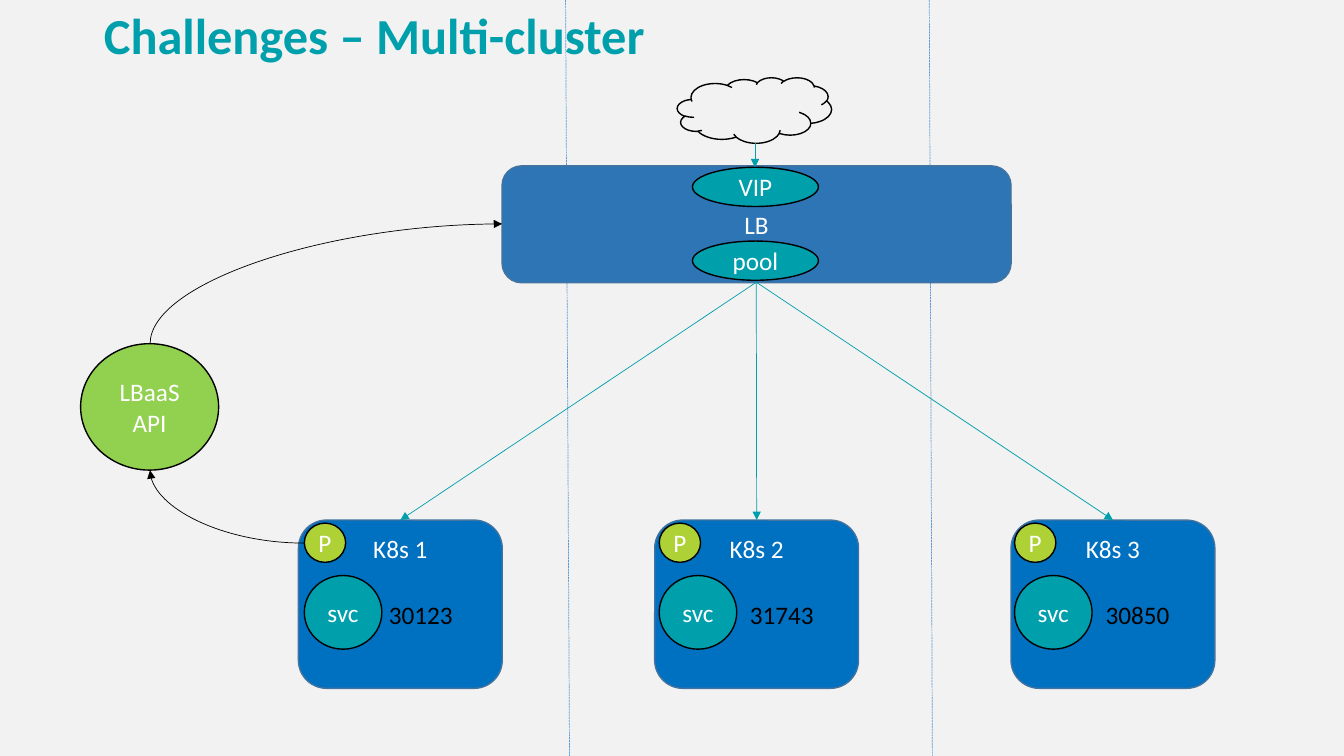
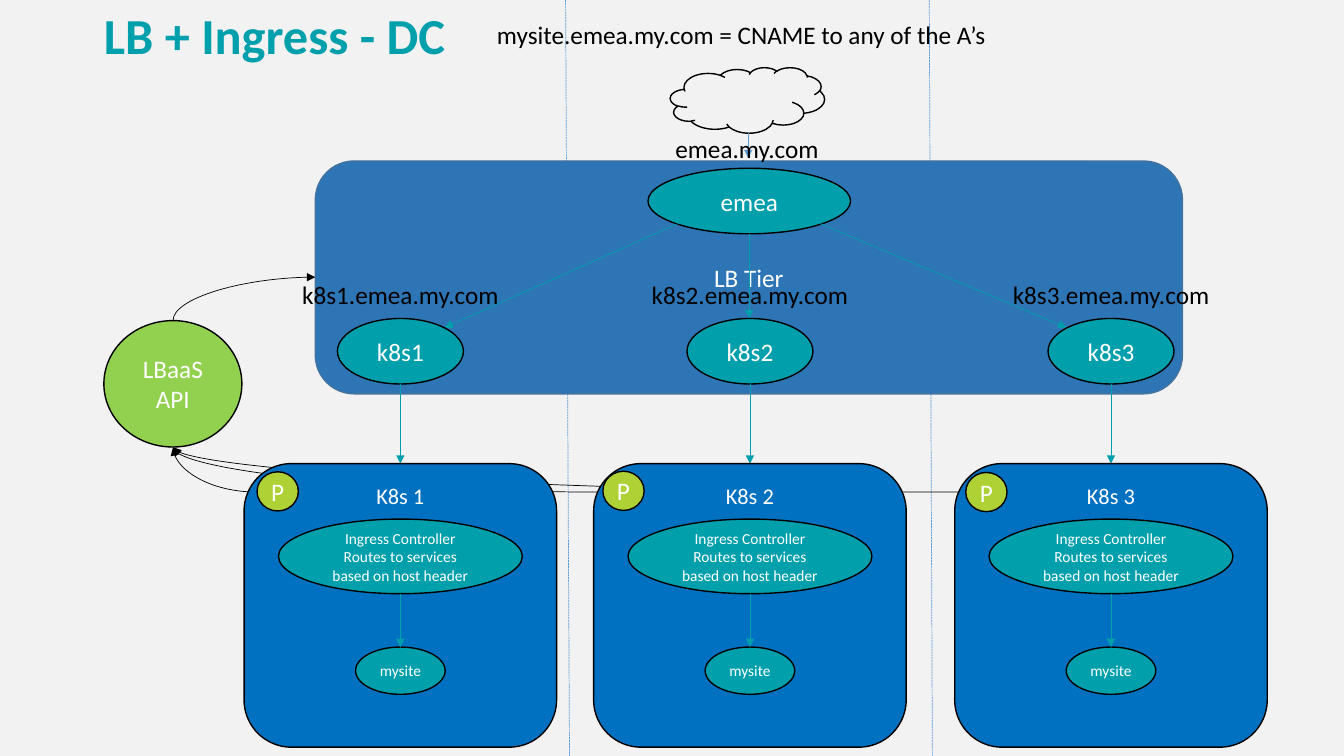
from dataclasses import dataclass
from typing import NamedTuple, Optional

from lxml.etree import SubElement
from pptx import Presentation
from pptx.dml.color import RGBColor
from pptx.enum.dml import MSO_LINE
from pptx.enum.shapes import MSO_CONNECTOR as Link, MSO_SHAPE as Shape
from pptx.enum.text import MSO_ANCHOR as Anchor, PP_ALIGN as Align
from pptx.oxml.ns import qn
from pptx.util import Pt

# Shared look
FONT = "Calibri"
BACKGROUND = RGBColor(0xF2, 0xF2, 0xF2)
TEAL = RGBColor(0x00, 0x9F, 0xAC)
CLUSTER_BLUE = RGBColor(0x00, 0x70, 0xC0)
BALANCER_BLUE = RGBColor(0x2E, 0x75, 0xB6)
BORDER_BLUE = RGBColor(0x43, 0x73, 0x9E)
LIGHT_BLUE = RGBColor(0x5B, 0x9B, 0xD5)
LIME = RGBColor(0xAE, 0xD1, 0x36)
GREEN = RGBColor(0x92, 0xD0, 0x50)
BLACK = RGBColor(0x00, 0x00, 0x00)
WHITE = RGBColor(0xFF, 0xFF, 0xFF)


class Point(NamedTuple):
    x: float
    y: float


@dataclass(frozen=True)
class Node:
    """A filled, outlined shape with a centred label."""
    kind: Shape
    x: float
    y: float
    width: float
    height: float
    label: str = ""
    fill: Optional[RGBColor] = TEAL
    border: RGBColor = BLACK
    size: float = 18
    anchor: Anchor = Anchor.MIDDLE
    wrap: bool = False


class PortCluster(NamedTuple):
    name: str
    badge_x: float
    port: str
    port_x: float


class IngressCluster(NamedTuple):
    number: int
    center: float
    badge: Point


PORT_CLUSTERS = (
    PortCluster("K8s 1", 217.4, "30123", 270.7),
    PortCluster("K8s 2", 470.9, "31743", 528.5),
    PortCluster("K8s 3", 724.7, "30850", 782.6),
)
INGRESS_CLUSTERS = (
    IngressCluster(1, 286, Point(183.6, 337)),
    IngressCluster(2, 535.7, Point(430.6, 336.6)),
    IngressCluster(3, 793.6, Point(689.8, 337.5)),
)


def style_text(frame, size: float, color: RGBColor, align: Align, bold: bool = False) -> None:
    for paragraph in frame.paragraphs:
        paragraph.alignment = align
        for run in paragraph.runs:
            run.font.name = FONT
            run.font.size = Pt(size)
            run.font.bold = bold
            run.font.color.rgb = color


def draw_node(slide, node: Node) -> None:
    shape = slide.shapes.add_shape(
        node.kind, Pt(node.x), Pt(node.y), Pt(node.width), Pt(node.height))
    shape.shadow.inherit = False
    if node.fill is None:
        shape.fill.background()
    else:
        shape.fill.solid()
        shape.fill.fore_color.rgb = node.fill
    shape.line.color.rgb = node.border
    shape.line.width = Pt(1)
    if node.label:
        frame = shape.text_frame
        frame.text = node.label
        frame.word_wrap = node.wrap
        frame.vertical_anchor = node.anchor
        style_text(frame, node.size, WHITE, Align.CENTER)


def draw_oval(slide, center: float, y: float, width: float, height: float,
              label: str, size: float = 18, wrap: bool = False) -> None:
    draw_node(slide, Node(Shape.OVAL, center - width / 2, y, width, height, label,
                          size=size, wrap=wrap))


def draw_text(slide, text: str, x: float, y: float, width: float,
              align: Align = Align.CENTER) -> None:
    box = slide.shapes.add_textbox(Pt(x), Pt(y), Pt(width), Pt(29))
    frame = box.text_frame
    frame.text = text
    frame.word_wrap = True
    style_text(frame, 18, BLACK, align)


def draw_link(slide, start: Point, end: Point, color: RGBColor = TEAL,
              kind: Link = Link.STRAIGHT, arrow: bool = True):
    link = slide.shapes.add_connector(
        kind, Pt(start.x), Pt(start.y), Pt(end.x), Pt(end.y))
    link.line.color.rgb = color
    link.line.width = Pt(0.5)
    properties = link._element.spPr
    if arrow:
        SubElement(properties.find(qn("a:ln")), qn("a:tailEnd"), type="triangle")
    SubElement(properties, qn("a:effectLst"))
    return link


def draw_curve(slide, start: Point, end: Point, leaves_upward: bool = False) -> None:
    """Quarter curve; one that leaves upward is laid flat, then turned by 90 degrees."""
    if leaves_upward:
        middle = Point((start.x + end.x) / 2, (start.y + end.y) / 2)
        across, down = abs(start.y - end.y) / 2, abs(start.x - end.x) / 2
        start = Point(middle.x + across, middle.y + down)
        end = Point(middle.x - across, middle.y - down)
    link = draw_link(slide, start, end, BLACK, Link.CURVE)
    properties = link._element.spPr
    properties.find(qn("a:prstGeom")).set("prst", "curvedConnector2")
    if leaves_upward:
        properties.find(qn("a:xfrm")).set("rot", "5400000")


def draw_badge(slide, x: float, y: float) -> None:
    draw_node(slide, Node(Shape.OVAL, x, y, 29.5, 28, "P", LIME))


def draw_api(slide, x: float, y: float) -> None:
    draw_node(slide, Node(Shape.OVAL, x, y, 98.6, 90.3, "LBaaS\nAPI", GREEN))


def draw_cloud(slide, x: float, y: float) -> None:
    draw_node(slide, Node(Shape.CLOUD, x, y, 110.2, 46.8, fill=None))


def start_slide(deck, heading: str):
    """Title and the two dashed zone dividers."""
    slide = deck.slides.add_slide(deck.slide_layouts[5])
    title = slide.shapes.title
    title.left, title.top, title.width, title.height = Pt(67), Pt(4.3), Pt(828), Pt(52.6)
    frame = title.text_frame
    frame.text = heading
    frame.vertical_anchor = Anchor.TOP
    frame.paragraphs[0].line_spacing = 0.9
    style_text(frame, 36, TEAL, Align.LEFT, bold=True)
    for top_x, bottom_x in ((404, 406.8), (663.8, 666)):
        divider = draw_link(slide, Point(top_x, 0), Point(bottom_x, 540),
                            LIGHT_BLUE, arrow=False)
        divider.line.dash_style = MSO_LINE.SQUARE_DOT
    return slide


def build_multi_cluster(deck) -> None:
    slide = start_slide(deck, "Challenges – Multi-cluster")
    card_x, card_step, card_width, card_y = 213.2, 254.5, 145.6, 371.5
    pool_exit = Point(540.2, 201.6)

    # Load balancer
    draw_api(slide, 57.6, 245.5)
    draw_cloud(slide, 483.8, 55.4)
    draw_node(slide, Node(Shape.ROUNDED_RECTANGLE, 358.6, 118.5, 363.6, 83.5, "LB",
                          BALANCER_BLUE, BORDER_BLUE))
    for label, y in (("pool", 172.2), ("VIP", 119.5)):
        draw_oval(slide, 539.6, y, 90, 28, label)
    draw_link(slide, Point(539.3, 102.2), Point(539.3, 119.5))

    # Clusters
    for index, cluster in enumerate(PORT_CLUSTERS):
        x = card_x + index * card_step
        draw_node(slide, Node(Shape.ROUNDED_RECTANGLE, x, card_y, card_width, 120.2,
                              cluster.name, CLUSTER_BLUE, BORDER_BLUE, anchor=Anchor.TOP))
        draw_badge(slide, cluster.badge_x, 373.7)
        draw_oval(slide, cluster.badge_x + 27.7, 411.1, 55.4, 52.6, "svc")
        draw_text(slide, cluster.port, cluster.port_x, 424.8, 73.4, Align.LEFT)
        draw_link(slide, pool_exit, Point(x + card_width / 2, card_y))

    # Control path
    draw_curve(slide, Point(217.4, 388), Point(107.2, 336))
    draw_curve(slide, Point(107.2, 245.5), Point(358.6, 160), leaves_upward=True)


def build_ingress(deck) -> None:
    slide = start_slide(deck, "LB + Ingress - DC")
    api_entry = Point(123.6, 319.5)
    emea_center = 535.2

    # Control paths run behind the cards
    for cluster in INGRESS_CLUSTERS:
        draw_curve(slide, Point(cluster.badge.x, 351.5), api_entry)

    # Load balancer tier
    draw_cloud(slide, 478.8, 48.2)
    draw_link(slide, Point(534.5, 95), Point(534.5, 113), LIGHT_BLUE)
    draw_node(slide, Node(Shape.ROUNDED_RECTANGLE, 225.2, 115, 619.4, 166.3, "LB Tier",
                          BALANCER_BLUE, BORDER_BLUE))
    draw_oval(slide, emea_center, 120.2, 144.7, 46.8, "emea")
    for start, end in ((Point(484, 159.8), Point(317.5, 234)),
                       (Point(emea_center, 167), Point(emea_center, 227.5)),
                       (Point(586, 159.8), Point(761.8, 234))):
        draw_link(slide, start, end)
    draw_api(slide, 74.2, 229)
    draw_curve(slide, Point(api_entry.x, 229), Point(225.2, 198), leaves_upward=True)

    # Clusters, each under its own address
    for cluster in INGRESS_CLUSTERS:
        center = cluster.center
        draw_oval(slide, center, 227.5, 90, 46.8, f"k8s{cluster.number}")
        draw_link(slide, Point(center, 274.3), Point(center, 331.2))
        draw_node(slide, Node(Shape.ROUNDED_RECTANGLE, center - 111.6, 331.2, 223.2, 202.5,
                              f"K8s {cluster.number}", CLUSTER_BLUE, size=16,
                              anchor=Anchor.TOP))
        draw_oval(slide, center, 370.8, 174.2, 53.3,
                  "Ingress Controller\nRoutes to services based on host header", 11, wrap=True)
        draw_oval(slide, center, 462.2, 64, 33.8, "mysite", 11)
        draw_link(slide, Point(center, 424.1), Point(center, 462.2))
        draw_badge(slide, cluster.badge.x, cluster.badge.y)
        draw_text(slide, f"k8s{cluster.number}.emea.my.com", center - 111, 195.8, 222)

    # Addresses above the tier
    draw_text(slide, "mysite.emea.my.com = CNAME to any of the A’s", 341.5, 10.1, 376)
    draw_text(slide, "emea.my.com", 422.6, 91.4, 222)


def main() -> None:
    deck = Presentation()
    deck.slide_width, deck.slide_height = Pt(960), Pt(540)
    backdrop = deck.slide_master.background.fill
    backdrop.solid()
    backdrop.fore_color.rgb = BACKGROUND
    build_multi_cluster(deck)
    build_ingress(deck)
    deck.save("out.pptx")


if __name__ == "__main__":
    main()
